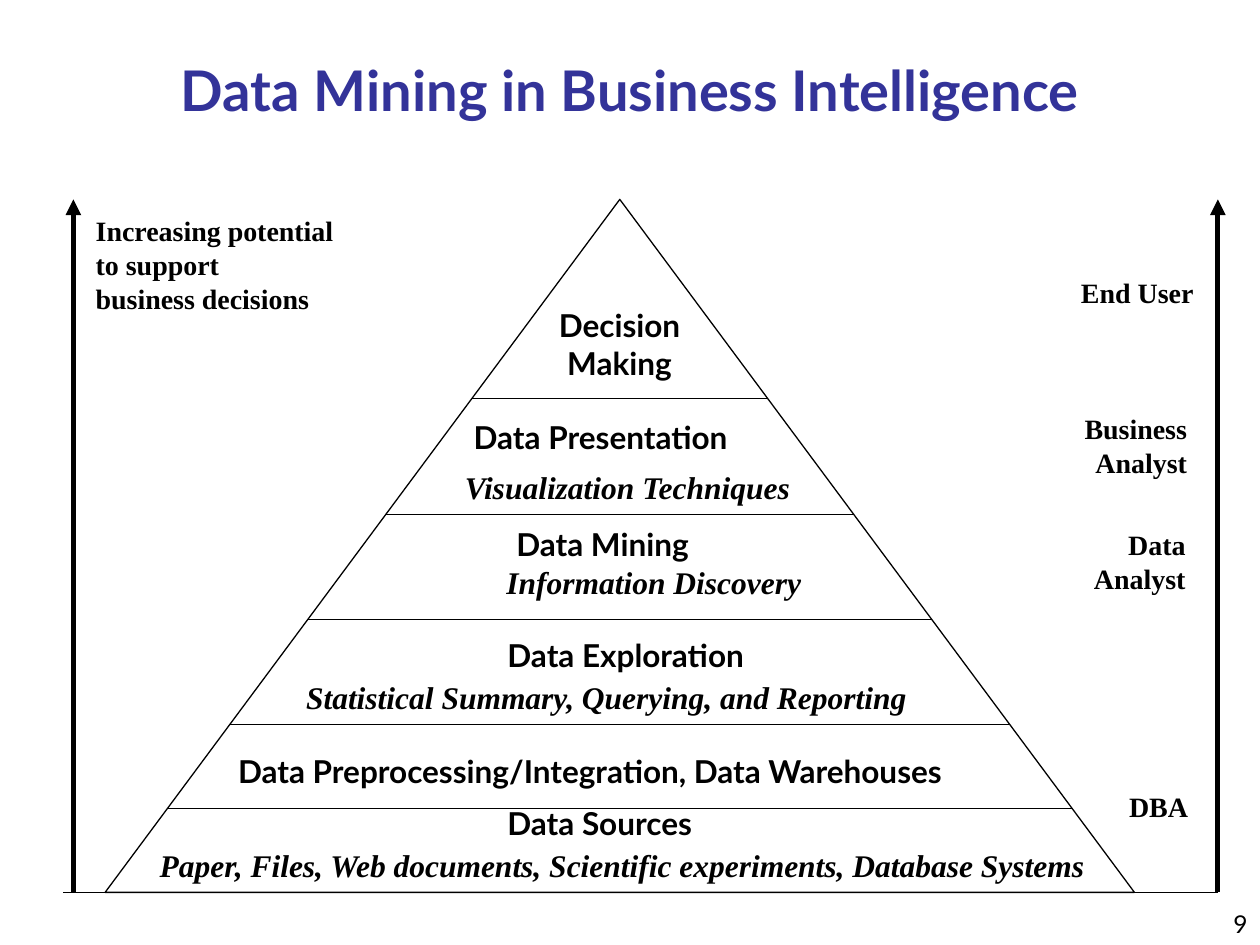
from lxml.etree import SubElement
from pptx import Presentation
from pptx.dml.color import RGBColor
from pptx.enum.shapes import MSO_CONNECTOR, MSO_SHAPE
from pptx.enum.text import MSO_ANCHOR, MSO_AUTO_SIZE, PP_ALIGN
from pptx.oxml.ns import qn
from pptx.util import Cm, Pt

SANS, SERIF = "Lato", "Times New Roman"
BLACK, NAVY = "000000", "333399"
LEFT, CENTER, RIGHT = PP_ALIGN.LEFT, PP_ALIGN.CENTER, PP_ALIGN.RIGHT

TITLE = "Data Mining in Business Intelligence"
PAGE_NUMBER = "9"

# Lengths in centimetres
APEX_Y, BASE_Y = 4.02, 17.99
PYRAMID_LEFT, PYRAMID_WIDTH = 2.12, 20.75
LEVELS = [16.3, 14.61, 12.49, 10.37, 8.04]
ARROWS = [1.48, 24.55]
BASELINE = (1.27, 24.55)

# Lines of text, (left, top, width, height), alignment
SIDE_NOTES = [
    (["Increasing potential", "to support", "business decisions"],
     (1.68, 4.19, 5.31, 2.29), LEFT),
    (["End User"], (21.54, 5.44, 2.77, 0.94), RIGHT),
    (["Business", "Analyst"], (21.54, 8.18, 2.64, 1.63), RIGHT),
    (["Data", "Analyst"], (21.79, 10.52, 2.36, 1.63), RIGHT),
    (["DBA"], (22.5, 15.8, 1.7, 0.94), RIGHT),
]
# Text, (left, top, width, height), alignment, wrap
HEADINGS = [
    ("Decision Making", (10.8, 6.05, 3.38, 1.78), CENTER, True),
    ("Data Presentation", (9.3, 8.31, 6.3, 1.02), LEFT, False),
    ("Data Mining", (10.16, 10.46, 4.95, 1.02), LEFT, True),
    ("Data Exploration", (9.35, 12.7, 6.53, 1.02), CENTER, True),
    ("Data Preprocessing/Integration, Data Warehouses",
     (4.55, 15.04, 16.51, 1.02), LEFT, False),
    ("Data Sources", (9.98, 16.08, 4.65, 1.02), LEFT, False),
]
DETAILS = [
    ("Visualization Techniques", (9.12, 9.32, 7.16, 1.02), LEFT, False),
    ("Information Discovery", (9.96, 11.23, 6.45, 1.02), LEFT, False),
    ("Statistical Summary, Querying, and Reporting",
     (5.92, 13.54, 12.7, 1.02), LEFT, True),
    ("Paper, Files, Web documents, Scientific experiments, Database Systems",
     (2.97, 16.94, 19.79, 1.02), LEFT, True),
]


def color(value):
    """Turn a hex string into a colour."""
    return RGBColor.from_string(value)


def style(paragraph, font_name, size, align, bold=True, italic=False, fill=BLACK):
    """Set the font and alignment of a paragraph."""
    paragraph.alignment = align
    font = paragraph.font
    font.name, font.size = font_name, Pt(size)
    font.bold, font.italic = bold, italic
    font.color.rgb = color(fill)


def add_text(slide, lines, box, font_name, size, align, wrap=False, **look):
    """Add a text box with one paragraph for each line."""
    shape = slide.shapes.add_textbox(*map(Cm, box))
    frame = shape.text_frame
    frame.word_wrap = wrap
    frame.auto_size = MSO_AUTO_SIZE.SHAPE_TO_FIT_TEXT
    frame.text = "\n".join(lines)
    for paragraph in frame.paragraphs:
        style(paragraph, font_name, size, align, **look)
    return shape


def add_line(slide, start, end, width=0.75, arrow=False):
    """Add a straight black line, with an arrowhead at its end if asked."""
    line = slide.shapes.add_connector(MSO_CONNECTOR.STRAIGHT, *map(Cm, start + end))
    line.line.color.rgb = color(BLACK)
    line.line.width = Pt(width)
    if arrow:
        SubElement(line.line._get_or_add_ln(), qn("a:tailEnd"), type="triangle")
    SubElement(line._element.spPr, qn("a:effectLst"))


def add_pyramid(slide):
    """Add the triangle and the lines that divide it into levels."""
    height = BASE_Y - APEX_Y
    shape = slide.shapes.add_shape(
        MSO_SHAPE.FLOWCHART_EXTRACT,
        *map(Cm, (PYRAMID_LEFT, APEX_Y, PYRAMID_WIDTH, height)))
    shape.shadow.inherit = False
    shape.fill.background()
    shape.line.color.rgb = color(BLACK)
    shape.line.width = Pt(0.75)
    center = PYRAMID_LEFT + PYRAMID_WIDTH / 2
    for y in LEVELS:
        half = PYRAMID_WIDTH / 2 * (y - APEX_Y) / height
        add_line(slide, (center - half, y), (center + half, y))


presentation = Presentation()
presentation.slide_width, presentation.slide_height = Cm(25.4), Cm(19.05)
slide = presentation.slides.add_slide(presentation.slide_layouts[5])

title = slide.shapes.title
title.left, title.top, title.width, title.height = map(Cm, (0.64, 1.06, 24.13, 1.48))
title.text_frame.text = TITLE
title.text_frame.vertical_anchor = MSO_ANCHOR.MIDDLE
title.text_frame.auto_size = MSO_AUTO_SIZE.NONE
style(title.text_frame.paragraphs[0], SANS, 32, CENTER, fill=NAVY)

add_pyramid(slide)
for x in ARROWS:
    add_line(slide, (x, BASE_Y), (x, APEX_Y), width=3, arrow=True)
add_line(slide, (BASELINE[0], BASE_Y), (BASELINE[1], BASE_Y))

for lines, box, align in SIDE_NOTES:
    add_text(slide, lines, box, SERIF, 16, align)
for text, box, align, wrap in HEADINGS:
    add_text(slide, [text], box, SANS, 18, align, wrap)
for text, box, align, wrap in DETAILS:
    add_text(slide, [text], box, SERIF, 18, align, wrap, italic=True)

number = add_text(slide, [PAGE_NUMBER], (20.12, 17.78, 5.28, 1.27), SANS, 14, RIGHT,
                  True, bold=False)
number.text_frame.auto_size = MSO_AUTO_SIZE.NONE
number.text_frame.vertical_anchor = MSO_ANCHOR.BOTTOM

presentation.save("out.pptx")
